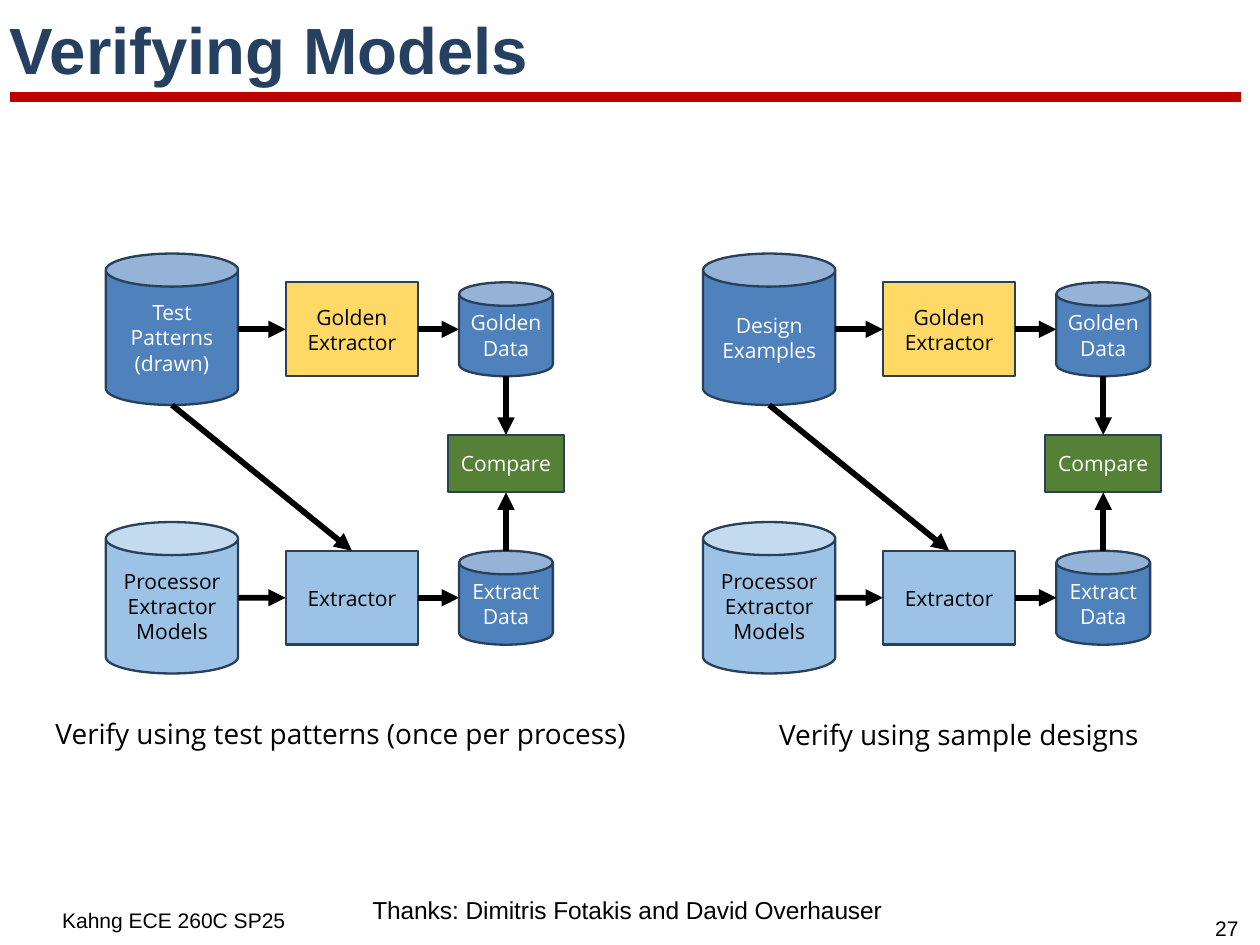
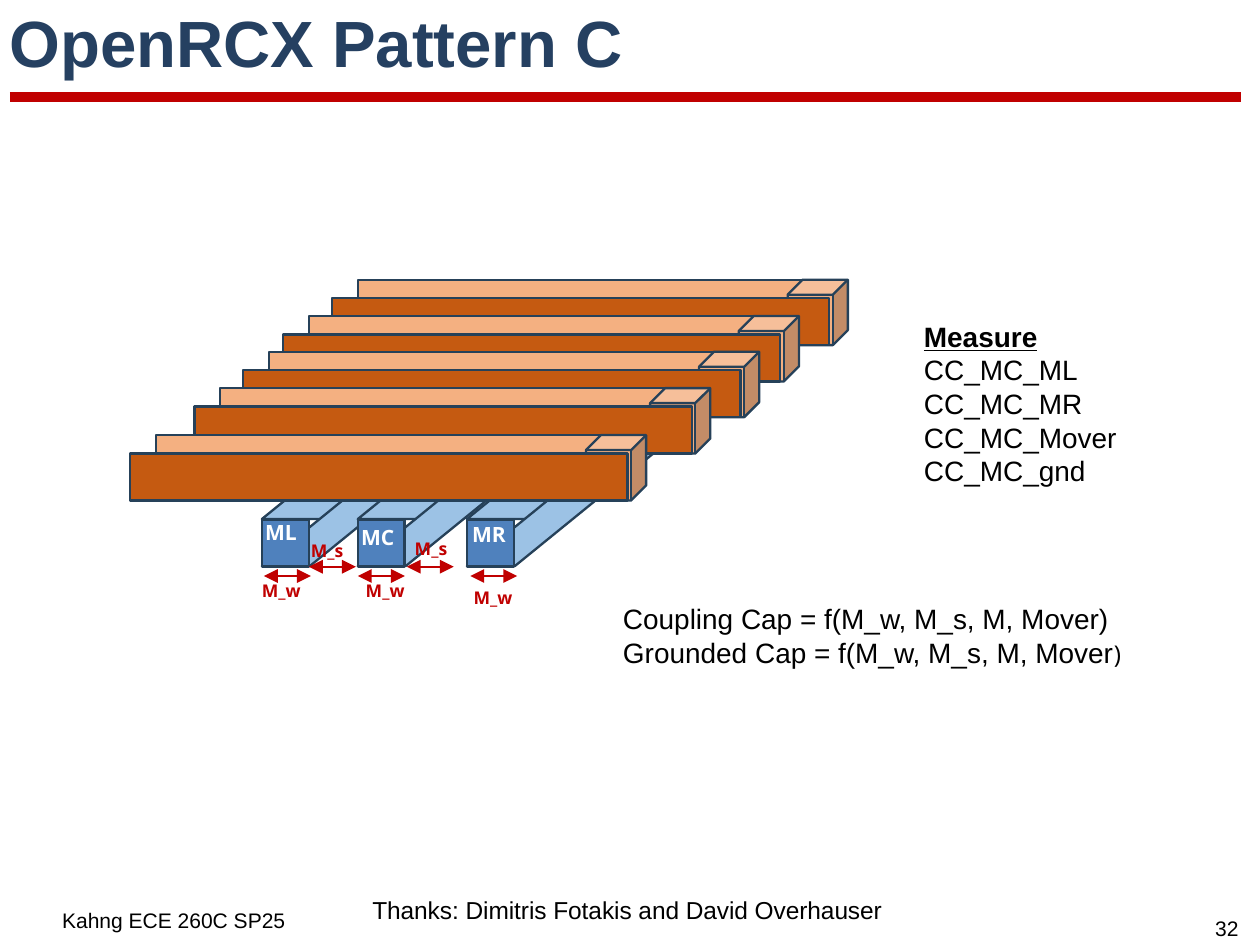
"""Build two lecture slides on verifying and measuring extraction models."""
import dataclasses

import lxml.etree
import pptx
import pptx.dml.color
import pptx.enum.shapes
import pptx.enum.text
import pptx.oxml.ns
import pptx.util

Cm = pptx.util.Cm
SHAPE = pptx.enum.shapes.MSO_SHAPE
ALIGN = pptx.enum.text.PP_ALIGN
ANCHOR = pptx.enum.text.MSO_ANCHOR
TOP, LEFT, BOTTOM, RIGHT = range(4)


@dataclasses.dataclass(frozen=True)
class Type:
    font: str
    size: float
    color: str
    bold: bool = False


class Theme:
    red = "C00000"
    black = "000000"
    outline = "264159"
    blue = "4F81BD"
    pale_blue = "9CC2E5"
    yellow = "FFD966"
    green = "548135"
    orange = "C55A11"
    pale_orange = "F4B081"

    title = Type("Arial", 28, "254061", True)
    footer = Type("Arial", 9, black)
    credit = Type("Arial", 10.5, black)
    body = Type("Arial", 12, black)
    bracket = Type("Open Sans", 10.5, black)
    caption = Type("Open Sans", 12, black)
    node_dark = Type("Open Sans", 9, black)
    node_light = Type("Open Sans", 9, "FFFFFF")
    wire = Type("Open Sans", 9, "FFFFFF", True)
    dimension = Type("Open Sans", 7.5, red, True)

    outline_width = 1
    dimension_width = 0.75
    arrow_width = 2.5
    rule_width = 4.5

    inset = (0.15, 0.08)
    title_inset = (0.15, 0.05)
    number_inset = (0.1, 0.05)
    footer_inset = (0.25, 0.13)


def rgb(color):
    return pptx.dml.color.RGBColor.from_string(color)


def set_font(font, style):
    font.name = style.font
    font.size = pptx.util.Pt(style.size)
    font.bold = style.bold
    font.color.rgb = rgb(style.color)


def side_point(node, side):
    middle_x = node.left + node.width // 2
    middle_y = node.top + node.height // 2
    return {
        TOP: (middle_x, node.top),
        LEFT: (node.left, middle_y),
        BOTTOM: (middle_x, node.top + node.height),
        RIGHT: (node.left + node.width, middle_y),
    }[side]


class Deck:
    def __init__(self):
        self.presentation = pptx.Presentation()
        self.presentation.slide_width = Cm(19.05)
        self.presentation.slide_height = Cm(14.29)
        self.slide = None

    def start_slide(self, title, number, title_spacing=None):
        blank = self.presentation.slide_layouts[6]
        self.slide = self.presentation.slides.add_slide(blank)
        self.line((Cm(0.15), Cm(1.47)), (Cm(18.77), Cm(1.47)),
                  Theme.red, Theme.rule_width)
        heading = self.text([title], 0, 0.18, 19.05, 1.12, Theme.title,
                            Theme.title_inset, anchor=ANCHOR.MIDDLE)
        heading[0].line_spacing = title_spacing
        self.text([number], 18.08, 13.79, 0.94, 0.48, Theme.footer,
                  Theme.number_inset, ALIGN.CENTER)
        self.text(["Kahng ECE 260C SP25"], 0.69, 13.59, 4.39, 0.53,
                  Theme.footer, Theme.footer_inset)
        self.text(["Thanks: Dimitris Fotakis and David Overhauser"],
                  5.38, 13.41, 8.56, 0.71, Theme.credit, Theme.footer_inset)

    def fill_frame(self, frame, lines, style, inset, align, anchor):
        frame.word_wrap = True
        frame.vertical_anchor = anchor
        frame.margin_left = frame.margin_right = Cm(inset[0])
        frame.margin_top = frame.margin_bottom = Cm(inset[1])
        frame.text = "\n".join(lines)
        for paragraph in frame.paragraphs:
            paragraph.alignment = align
            set_font(paragraph.font, style)
        return frame.paragraphs

    def text(self, lines, left, top, width, height, style,
             inset=Theme.inset, align=ALIGN.LEFT, anchor=ANCHOR.TOP):
        box = self.slide.shapes.add_textbox(
            Cm(left), Cm(top), Cm(width), Cm(height))
        return self.fill_frame(box.text_frame, lines, style, inset, align,
                               anchor)

    def shape(self, kind, left, top, width, height, fill):
        shape = self.slide.shapes.add_shape(
            kind, Cm(left), Cm(top), Cm(width), Cm(height))
        shape.shadow.inherit = False
        shape.fill.solid()
        shape.fill.fore_color.rgb = rgb(fill)
        shape.line.color.rgb = rgb(Theme.outline)
        shape.line.width = pptx.util.Pt(Theme.outline_width)
        return shape

    def node(self, kind, center, size, fill, lines, style):
        (x, y), (width, height) = center, size
        node = self.shape(kind, x - width / 2, y - height / 2,
                          width, height, fill)
        self.fill_frame(node.text_frame, lines, style, Theme.inset,
                        ALIGN.CENTER, ANCHOR.MIDDLE)
        return node

    def line(self, begin, end, color, width, heads=()):
        line = self.slide.shapes.add_connector(
            pptx.enum.shapes.MSO_CONNECTOR.STRAIGHT, *begin, *end)
        line.line.color.rgb = rgb(color)
        line.line.width = pptx.util.Pt(width)
        qn = pptx.oxml.ns.qn
        properties = line.element.spPr
        for head in heads:
            lxml.etree.SubElement(properties.find(qn("a:ln")), qn(head),
                                  type="triangle")
        lxml.etree.SubElement(properties, qn("a:effectLst"))
        return line

    def flow(self, source, source_side, target, target_side):
        arrow = self.line(side_point(source, source_side),
                          side_point(target, target_side),
                          Theme.black, Theme.arrow_width, ["a:tailEnd"])
        for join, node, side in (
                (arrow.begin_connect, source, source_side),
                (arrow.end_connect, target, target_side)):
            if node.auto_shape_type == SHAPE.RECTANGLE:
                join(node, side)

    def dimension(self, label, arrow_left, arrow_top, label_left, label_top):
        self.line((Cm(arrow_left), Cm(arrow_top)),
                  (Cm(arrow_left + 0.71), Cm(arrow_top)),
                  Theme.red, Theme.dimension_width,
                  ["a:headEnd", "a:tailEnd"])
        self.text([label], label_left, label_top, 1.14, 0.46, Theme.dimension)

    def verification(self, left, input_lines):
        golden_y, compare_y, extract_y = 4.98, 7.01, 9.04
        input_x, extractor_x, data_x = left + 1, left + 3.72, left + 6.05
        store, box, data = (2, 2.29), (2, 1.42), (1.42, 1.42)
        dark, light = Theme.node_dark, Theme.node_light

        examples = self.node(SHAPE.CAN, (input_x, golden_y), store,
                             Theme.blue, input_lines, light)
        golden = self.node(SHAPE.RECTANGLE, (extractor_x, golden_y), box,
                           Theme.yellow, ["Golden", "Extractor"], dark)
        golden_data = self.node(SHAPE.CAN, (data_x, golden_y), data,
                                Theme.blue, ["Golden", "Data"], light)
        models = self.node(SHAPE.CAN, (input_x, extract_y), store,
                           Theme.pale_blue,
                           ["Processor", "Extractor Models"], dark)
        extractor = self.node(SHAPE.RECTANGLE, (extractor_x, extract_y), box,
                              Theme.pale_blue, ["Extractor"], dark)
        extract_data = self.node(SHAPE.CAN, (data_x, extract_y), data,
                                 Theme.blue, ["Extract", "Data"], light)
        compare = self.node(SHAPE.RECTANGLE, (data_x, compare_y),
                            (1.76, 0.87), Theme.green, ["Compare"], light)

        for source, target in ((examples, golden), (golden, golden_data),
                               (models, extractor),
                               (extractor, extract_data)):
            self.flow(source, RIGHT, target, LEFT)
        self.flow(examples, BOTTOM, extractor, TOP)
        self.flow(golden_data, BOTTOM, compare, TOP)
        self.flow(extract_data, TOP, compare, BOTTOM)

    def wire(self, left):
        side = 0.71
        back, front, depth = 5.05, 7.86, 2.8
        self.shape(SHAPE.RECTANGLE, left + 3.53, back, side, side,
                   Theme.pale_blue)
        for top, width in ((back, 4.34), (back + side, 4.17)):
            face = self.shape(SHAPE.PARALLELOGRAM, left, top, width, depth,
                              Theme.pale_blue)
            face.adjustments[0] = 1.23
        self.shape(SHAPE.RECTANGLE, left, front, side, side, Theme.blue)

    def crossing_bar(self, left, top):
        self.shape(SHAPE.RECTANGLE, left, top, 7.34, 0.71, Theme.pale_orange)
        self.shape(SHAPE.CUBE, left + 6.5, top, 0.91, 0.99, Theme.pale_orange)
        self.shape(SHAPE.RECTANGLE, left - 0.39, top + 0.28, 7.52, 0.71,
                   Theme.orange)


def add_verifying_models(deck):
    deck.start_slide("Verifying Models", "27")
    deck.verification(1.6, ["Test", "Patterns", "(drawn)"])
    deck.verification(10.63, ["Design", "Examples"])
    deck.text(["Verify using test patterns (once per process)"],
              0.69, 10.75, 10.29, 0.66, Theme.caption)
    deck.text(["Verify using sample designs"],
              11.63, 10.77, 6.83, 0.66, Theme.caption)


def add_pattern_c(deck):
    deck.start_slide("OpenRCX Pattern C", "32", 0.8)
    measures = deck.text(
        ["Measure", "CC_MC_ML", "CC_MC_MR", "CC_MC_Mover", "CC_MC_gnd"],
        13.82, 4.75, 4.09, 2.72, Theme.body)
    measures[0].font.bold = True
    measures[0].font.underline = True
    formulas = deck.text(
        ["Coupling Cap = f(M_w, M_s, M, Mover)",
         "Grounded Cap = f(M_w, M_s, M, Mover"],
        9.27, 9.02, 8.33, 1.17, Theme.body)
    bracket = formulas[1].add_run()
    bracket.text = ")"
    set_font(bracket.font, Theme.bracket)

    for name, left, label_left, label_top in (
            ("ML", 3.96, 3.86, 7.77),
            ("MC", 5.41, 5.31, 7.85),
            ("MR", 7.06, 6.99, 7.8)):
        deck.wire(left)
        deck.text([name], label_left, label_top, 1, 0.53, Theme.wire)
    for left, top in ((5.41, 4.23), (4.67, 4.78), (4.07, 5.32),
                      (3.33, 5.87), (2.36, 6.58)):
        deck.crossing_bar(left, top)
    for spacing in ((4.67, 8.57, 4.55, 8.08), (6.15, 8.57, 6.12, 8.05)):
        deck.dimension("M_s", *spacing)
    for width in ((3.99, 8.71, 3.81, 8.69), (5.41, 8.71, 5.38, 8.69),
                  (7.11, 8.71, 7.01, 8.79)):
        deck.dimension("M_w", *width)


def main():
    deck = Deck()
    add_verifying_models(deck)
    add_pattern_c(deck)
    deck.presentation.save("out.pptx")


if __name__ == "__main__":
    main()
